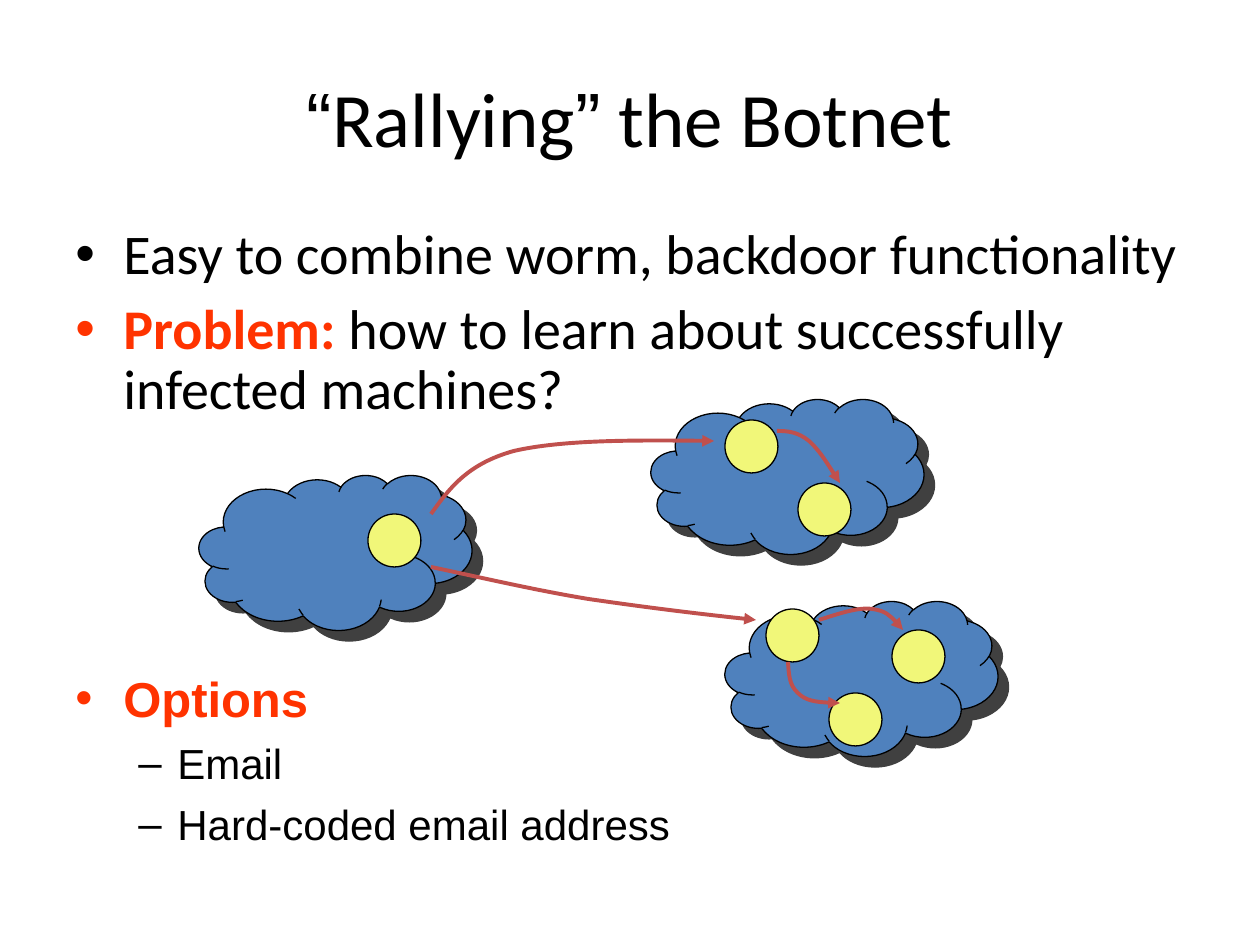
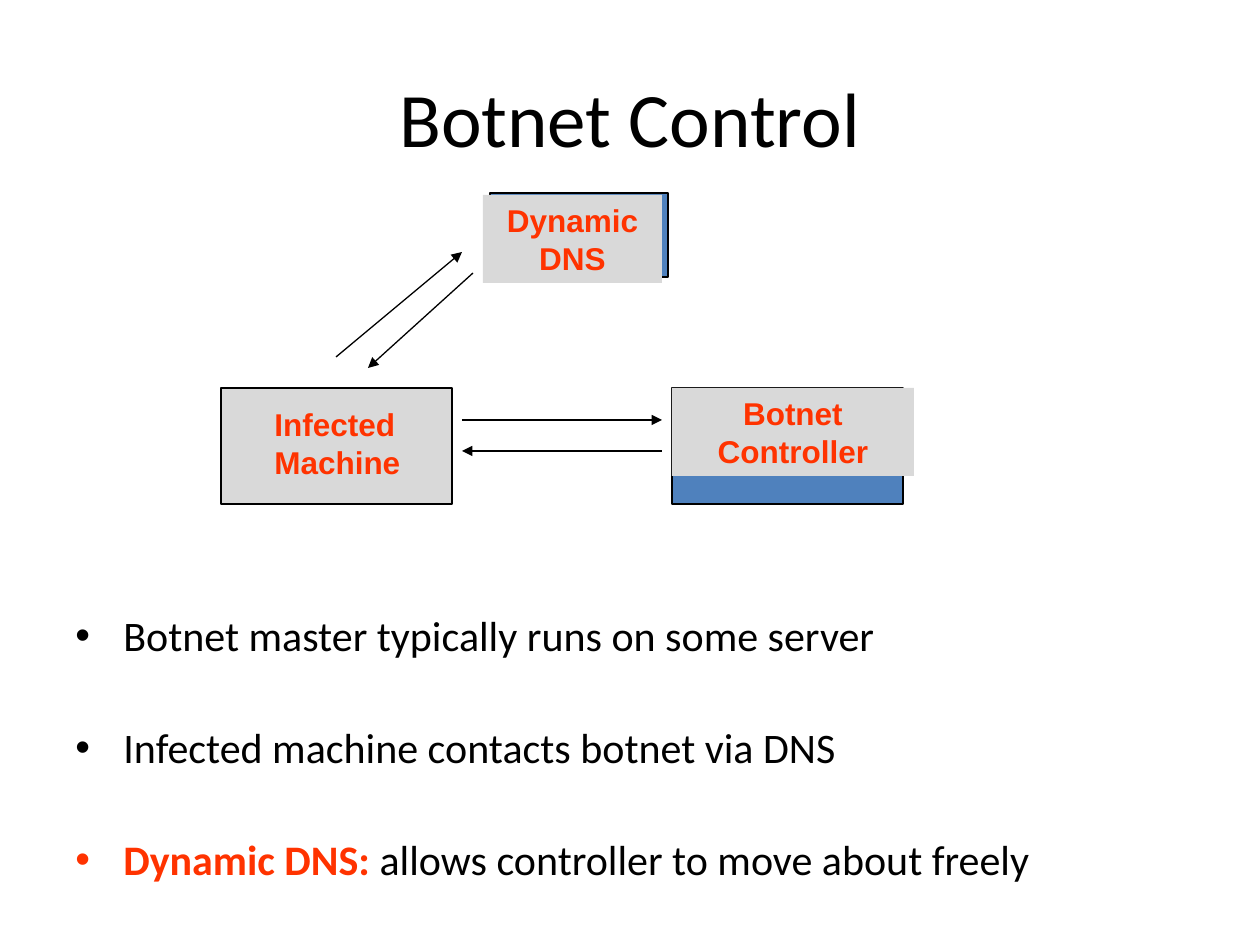
"""Builds two slides on how a botnet gathers and controls its machines."""
from dataclasses import dataclass

from lxml import etree
from pptx import Presentation
from pptx import util as u
from pptx.dml.color import RGBColor
from pptx.enum import shapes, text
from pptx.oxml.ns import qn


@dataclass(frozen=True)
class Theme:
    ink: str = "000000"
    accent: str = "FF3300"
    blue: str = "4F81BD"
    grey: str = "D9D9D9"
    yellow: str = "F1F779"
    red: str = "C0504D"
    sans: str = "Calibri"
    plain: str = "Arial"
    title: int = 44
    lead: int = 32
    option: int = 28
    body: int = 24
    label: int = 18
    thin: float = 0.75
    thick: float = 2.25


T = Theme()
PX = 914400 / 126
SLIDE = (1260, 945)
TITLE_BOX = (63, 38, 1134, 158)

RALLY_TITLE = [("“", T.plain), ("Rallying", T.sans), ("”", T.plain), (" the Botnet", T.sans)]
RALLY_POINTS = [
    [("Easy to combine worm, backdoor functionality", False)],
    [("Problem:", True), (" how to learn about successfully infected machines?", False)],
]
OPTIONS_HEAD = [("Options", True)]
OPTIONS = ["Email", "Hard-coded email address"]
CLOUD_SIZE, BOT_SIZE = (273, 155), (53, 53)
CLOUDS = [(199, 475), (651, 399), (725, 601)]
BOTS = [(368, 514), (725, 420), (798, 483), (766, 609), (829, 693), (892, 630)]
SPREAD_CURVES = [
    [(431, 514), (449, 489), (467, 464), (514, 451), (562, 440), (638, 440), (714, 441)],
    [(777, 431), (788, 431), (798, 432), (809, 441), (819, 450), (829, 466), (840, 483)],
    [(431, 567), (483, 578), (534, 590), (588, 599), (643, 607), (699, 614), (756, 620)],
    [(819, 620), (838, 614), (858, 607), (872, 609), (886, 611), (895, 620), (903, 630)],
    [(788, 662), (789, 674), (789, 685), (798, 693), (806, 701), (823, 703), (840, 703)],
]

CONTROL_TITLE = [("Botnet Control", T.sans)]
CONTROL_POINTS = [
    [("Botnet master typically runs on some server", False)],
    [("Infected machine contacts botnet via DNS", False)],
    [("Dynamic DNS: ", True), ("allows controller to move about freely", False)],
]
INFECTED_BOX = (221, 388, 231, 116)
INFECTED_LABEL = ("Infected Machine", (262, 399, 179, 88))
SERVERS = [
    ("Dynamic\nDNS", (490, 193, 178, 84), (483, 195, 179, 88)),
    ("Botnet\nController", (672, 388, 231, 116), (672, 388, 242, 88)),
]
MESSAGES = [
    ((336, 357), (462, 252)), ((473, 273), (368, 368)),
    ((462, 420), (662, 420)), ((662, 451), (462, 451)),
]


def px(*values):
    return [u.Emu(round(v * PX)) for v in values]


def add_run(p, words, font, size, color=T.ink, bold=False):
    r = p.add_run()
    r.text = words
    r.font.name, r.font.size, r.font.bold = font, u.Pt(size), bold
    r.font.color.rgb = RGBColor.from_string(color)


def add_text(slide, box):
    tf = slide.shapes.add_textbox(*px(*box)).text_frame
    tf.word_wrap = True
    return tf


def next_paragraph(tf):
    first = tf.paragraphs[0]
    return tf.add_paragraph() if first.runs else first


def add_title(slide, runs):
    tf = add_text(slide, TITLE_BOX)
    tf.vertical_anchor = text.MSO_ANCHOR.MIDDLE
    p = tf.paragraphs[0]
    p.alignment = text.PP_ALIGN.CENTER
    for words, font in runs:
        add_run(p, words, font, T.title)


def add_bullet(tf, runs, font, size, before, mark="•", margin=48, hang=48, spacing=1.0):
    p = next_paragraph(tf)
    p.space_before, p.line_spacing = u.Pt(before), spacing
    ppr = p._p.get_or_add_pPr()
    left, indent = px(margin, -hang)
    ppr.set("marL", str(left))
    ppr.set("indent", str(indent))
    color = etree.SubElement(ppr, qn("a:buClr"))
    etree.SubElement(color, qn("a:srgbClr"), val=T.accent if runs[0][1] else T.ink)
    etree.SubElement(ppr, qn("a:buFont"), typeface=T.plain)
    etree.SubElement(ppr, qn("a:buChar"), char=mark)
    for words, strong in runs:
        add_run(p, words, font, size, T.accent if strong else T.ink, strong)


def add_label(tf, words, align):
    tf.word_wrap = True
    tf.vertical_anchor = text.MSO_ANCHOR.TOP
    p = tf.paragraphs[0]
    p.alignment = align
    for i, part in enumerate(words.split("\n")):
        if i:
            p.add_line_break()
        add_run(p, part, T.plain, T.label, T.accent, True)


def set_line(sp, color, width):
    sp.line.color.rgb = RGBColor.from_string(color)
    sp.line.width = u.Pt(width)


def add_arrowhead(sp):
    etree.SubElement(sp.line._get_or_add_ln(), qn("a:tailEnd"), type="triangle")


def add_shape(slide, kind, box, fill, outlined=True):
    sp = slide.shapes.add_shape(kind, *px(*box))
    sp.shadow.inherit = False
    sp.fill.solid()
    sp.fill.fore_color.rgb = RGBColor.from_string(fill)
    if outlined:
        set_line(sp, T.ink, T.thin)
    else:
        sp.line.fill.background()
    return sp


def add_cloud(slide, corner):
    sp = add_shape(slide, shapes.MSO_SHAPE.CLOUD, corner + CLOUD_SIZE, T.blue)
    effects = sp._element.spPr.find(qn("a:effectLst"))
    shadow = etree.SubElement(effects, qn("a:outerShdw"), dist=str(u.Pt(8.5)),
                              dir="2700000", algn="ctr", rotWithShape="0")
    color = etree.SubElement(shadow, qn("a:srgbClr"), val=T.ink)
    etree.SubElement(color, qn("a:alpha"), val="75000")


def add_curve(slide, points):
    outline = slide.shapes.build_freeform(*points[0], scale=PX)
    outline.add_line_segments(points[1:], close=False)
    sp = outline.convert_to_shape()
    sp.shadow.inherit = False
    sp.fill.background()
    set_line(sp, T.red, T.thick)
    add_arrowhead(sp)
    track = next(sp._element.iter(qn("a:path")))
    steps = track.findall(qn("a:lnTo"))
    for i in range(0, len(steps), 3):
        bezier = etree.SubElement(track, qn("a:cubicBezTo"))
        for step in steps[i:i + 3]:
            bezier.append(step[0])
            track.remove(step)


def add_message(slide, start, end):
    line = slide.shapes.add_connector(shapes.MSO_CONNECTOR.STRAIGHT, *px(*start, *end))
    set_line(line, T.ink, T.thin)
    add_arrowhead(line)
    etree.SubElement(line._element.spPr, qn("a:effectLst"))


def build_rallying(slide):
    add_title(slide, RALLY_TITLE)
    tf = add_text(slide, (63, 220, 1134, 210))
    for runs in RALLY_POINTS:
        add_bullet(tf, runs, T.sans, T.lead, 8, spacing=0.9)
    tf = add_text(slide, (63, 662, 1134, 210))
    add_bullet(tf, OPTIONS_HEAD, T.plain, T.option, 7)
    for option in OPTIONS:
        add_bullet(tf, [(option, False)], T.plain, T.body, 6, "–", 102, 39)
    for corner in CLOUDS:
        add_cloud(slide, corner)
    for corner in BOTS:
        add_shape(slide, shapes.MSO_SHAPE.OVAL, corner + BOT_SIZE, T.yellow)
    for points in SPREAD_CURVES:
        add_curve(slide, points)


def build_control(slide):
    add_title(slide, CONTROL_TITLE)
    tf = add_text(slide, (63, 609, 1134, 305))
    for runs in CONTROL_POINTS:
        add_bullet(tf, runs, T.sans, T.body, 38, spacing=0.9)
    rect = shapes.MSO_SHAPE.RECTANGLE
    add_shape(slide, rect, INFECTED_BOX, T.grey)
    words, box = INFECTED_LABEL
    add_label(add_text(slide, box), words, text.PP_ALIGN.LEFT)
    for words, back, front in SERVERS:
        add_shape(slide, rect, back, T.blue)
        sp = add_shape(slide, rect, front, T.grey, outlined=False)
        add_label(sp.text_frame, words, text.PP_ALIGN.CENTER)
    for start, end in MESSAGES:
        add_message(slide, start, end)


def main():
    prs = Presentation()
    prs.slide_width, prs.slide_height = px(*SLIDE)
    for build in (build_rallying, build_control):
        build(prs.slides.add_slide(prs.slide_layouts[6]))
    prs.save("out.pptx")


if __name__ == "__main__":
    main()
